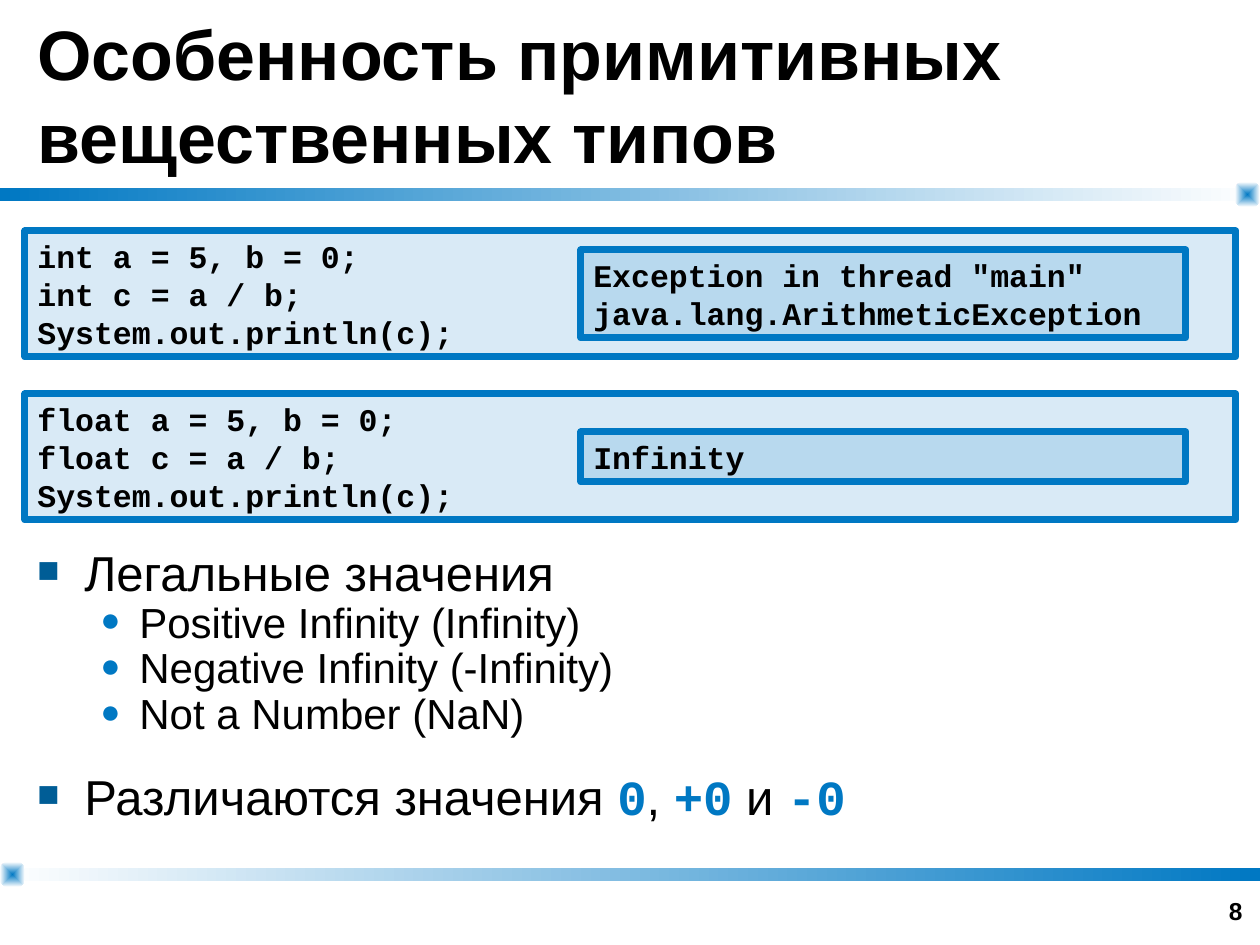
"""Slide on how primitive floating-point types behave."""
from lxml import etree
from pptx import Presentation
from pptx.dml.color import RGBColor
from pptx.enum.shapes import MSO_SHAPE as SHAPE
from pptx.enum.text import MSO_ANCHOR as ANCHOR, MSO_AUTO_SIZE as AUTO, PP_ALIGN as ALIGN
from pptx.oxml.ns import qn
from pptx.util import Emu, Pt

BLUE, NAVY, BLACK, WHITE = "0078C3", "005D96", "000000", "FFFFFF"
TITLE = dict(name="Arial", size=Pt(40), bold=True)
NUMBER = dict(name="Arial", size=Pt(14), bold=True)
CODE = dict(name="Courier New", size=Pt(18), bold=True)
HEAD = dict(name="Arial", size=Pt(28), bold=False)
ITEM = dict(name="Arial", size=Pt(24), bold=False)
VALUE = dict(name="Courier New", size=Pt(28), bold=True)
SQUARE = dict(char="■", color=NAVY, percent=75, left=47, hang=47)
DOT = dict(char="●", color=BLUE, percent=80, left=102, hang=39)


def px(n):
    """Turn pixels into EMU."""
    return Emu(round(n * 914400 / 126))


def rgb(value):
    """Turn a hex string into a colour."""
    return RGBColor.from_string(value)


def sub(parent, tag, **attrs):
    """Append an XML child with attributes."""
    return etree.SubElement(parent, qn(tag), {k: str(v) for k, v in attrs.items()})


def add_run(p, text, style, color=BLACK):
    """Add a run of text in one style."""
    r = p.add_run()
    r.text = text
    for name, value in style.items():
        setattr(r.font, name, value)
    r.font.color.rgb = rgb(color)


def set_frame(tf, anchor=ANCHOR.TOP):
    """Set wrapping and anchor of a text frame."""
    for name, value in dict(word_wrap=True, auto_size=AUTO.NONE, vertical_anchor=anchor).items():
        setattr(tf, name, value)


def add_box(s, kind, box):
    """Add a preset shape with no shadow and no line."""
    sp = s.shapes.add_shape(kind, *map(px, box))
    sp.shadow.inherit = False
    sp.line.fill.background()
    return sp


def fill_gradient(sp, colors):
    """Fill a shape with a left-to-right gradient."""
    sp.fill.gradient()
    sp.fill.gradient_angle = 0
    for stop, color in zip(sp.fill.gradient_stops, colors):
        stop.color.rgb = rgb(color)


def add_rule(s, box, colors, knob_left):
    """Draw a fading bar with a square knob at its pale end."""
    x, y, w, h = box
    fill_gradient(add_box(s, SHAPE.RECTANGLE, box), colors)
    knob = add_box(s, SHAPE.ROUNDED_RECTANGLE, (x + knob_left, y - 6, 25, 25))
    knob.adjustments[0] = 0.32
    fill_gradient(knob, (BLUE, WHITE))
    grad = knob.element.spPr.find(qn("a:gradFill"))
    grad.remove(grad.find(qn("a:lin")))
    centre = sub(grad, "a:path", **{"path": "rect"})
    sub(centre, "a:fillToRect", l=50000, t=50000, r=50000, b=50000)


def add_title(s, box, text):
    """Place and format the title placeholder."""
    sp = s.shapes.title
    sp.left, sp.top, sp.width, sp.height = map(px, box)
    set_frame(sp.text_frame, ANCHOR.MIDDLE)
    p = sp.text_frame.paragraphs[0]
    p.alignment = ALIGN.LEFT
    add_run(p, text, TITLE)


def add_panel(s, box, lines):
    """Draw a tinted, framed panel holding lines of code."""
    sp = add_box(s, SHAPE.RECTANGLE, box)
    sp.fill.solid()
    sp.fill.fore_color.rgb = rgb(BLUE)
    color = sp.element.spPr.find(qn("a:solidFill"))[0]
    sub(color, "a:alpha", val=15000)
    sp.line.color.rgb = rgb(BLUE)
    sp.line.width = Pt(4)
    tf = sp.text_frame
    set_frame(tf)
    for i, line in enumerate(lines):
        p = tf.add_paragraph() if i else tf.paragraphs[0]
        p.alignment = ALIGN.LEFT
        add_run(p, line, CODE)


def add_example(s, box, code, output, output_height):
    """Place a code panel with its output panel centred on the right."""
    x, y, w, h = box
    add_panel(s, box, code)
    add_panel(s, (x + 556, y + (h - output_height) // 2, 605, output_height), [output])


def set_bullet(p, char, color, percent, left, hang):
    """Give a paragraph a coloured bullet and hanging indent."""
    pPr = p._p.get_or_add_pPr()
    pPr.set("marL", str(px(left)))
    pPr.set("indent", str(-px(hang)))
    sub(sub(pPr, "a:buClr"), "a:srgbClr", val=color)
    sub(pPr, "a:buSzPct", val=percent * 1000)
    sub(pPr, "a:buFont", typeface="Arial")
    sub(pPr, "a:buChar", char=char)


def add_bullets(s, box, items):
    """Place the two-level bullet list."""
    tf = s.shapes.add_textbox(*map(px, box)).text_frame
    set_frame(tf)
    for i, (level, before, bullet, runs) in enumerate(items):
        p = tf.add_paragraph() if i else tf.paragraphs[0]
        p.level = level
        p.line_spacing = 0.7
        p.space_before = Pt(before)
        set_bullet(p, **bullet)
        for run in runs:
            add_run(p, *run)


def add_number(s, box, text):
    """Place the slide number."""
    tf = s.shapes.add_textbox(*map(px, box)).text_frame
    set_frame(tf, ANCHOR.BOTTOM)
    p = tf.paragraphs[0]
    p.alignment = ALIGN.RIGHT
    add_run(p, text, NUMBER)


def main():
    """Build the slide and save it."""
    prs = Presentation()
    prs.slide_width, prs.slide_height = px(1260), px(945)
    s = prs.slides.add_slide(prs.slide_layouts[5])
    add_rule(s, (0, 188, 1260, 13), (BLUE, WHITE), 1235)
    add_rule(s, (0, 868, 1260, 13), (WHITE, BLUE), 0)
    add_number(s, (961, 869, 294, 63), "8")
    add_title(s, (25, 0, 1210, 188), "Особенность примитивных вещественных типов")
    examples = [
        (["int a = 5, b = 0;", "int c = a / b;"],
         'Exception in thread "main" java.lang.ArithmeticException', 88),
        (["float a = 5, b = 0;", "float c = a / b;"], "Infinity", 50),
    ]
    for i, (code, output, height) in enumerate(examples):
        lines = code + ["System.out.println(c);"]
        add_example(s, (25, 231 + 163 * i, 1211, 126), lines, output, height)
    values = ["Positive Infinity (Infinity)", "Negative Infinity (-Infinity)", "Not a Number (NaN)"]
    signs = [("Различаются значения ", HEAD), ("0", VALUE, BLUE), (", ", HEAD),
             ("+0", VALUE, BLUE), (" и ", HEAD), ("-0", VALUE, BLUE)]
    add_bullets(s, (25, 552, 1210, 307), [
        (0, 0, SQUARE, [("Легальные значения", HEAD)]),
        *[(1, 6, DOT, [(value, ITEM)]) for value in values],
        (0, 26, SQUARE, signs),
    ])
    prs.save("out.pptx")


if __name__ == "__main__":
    main()
